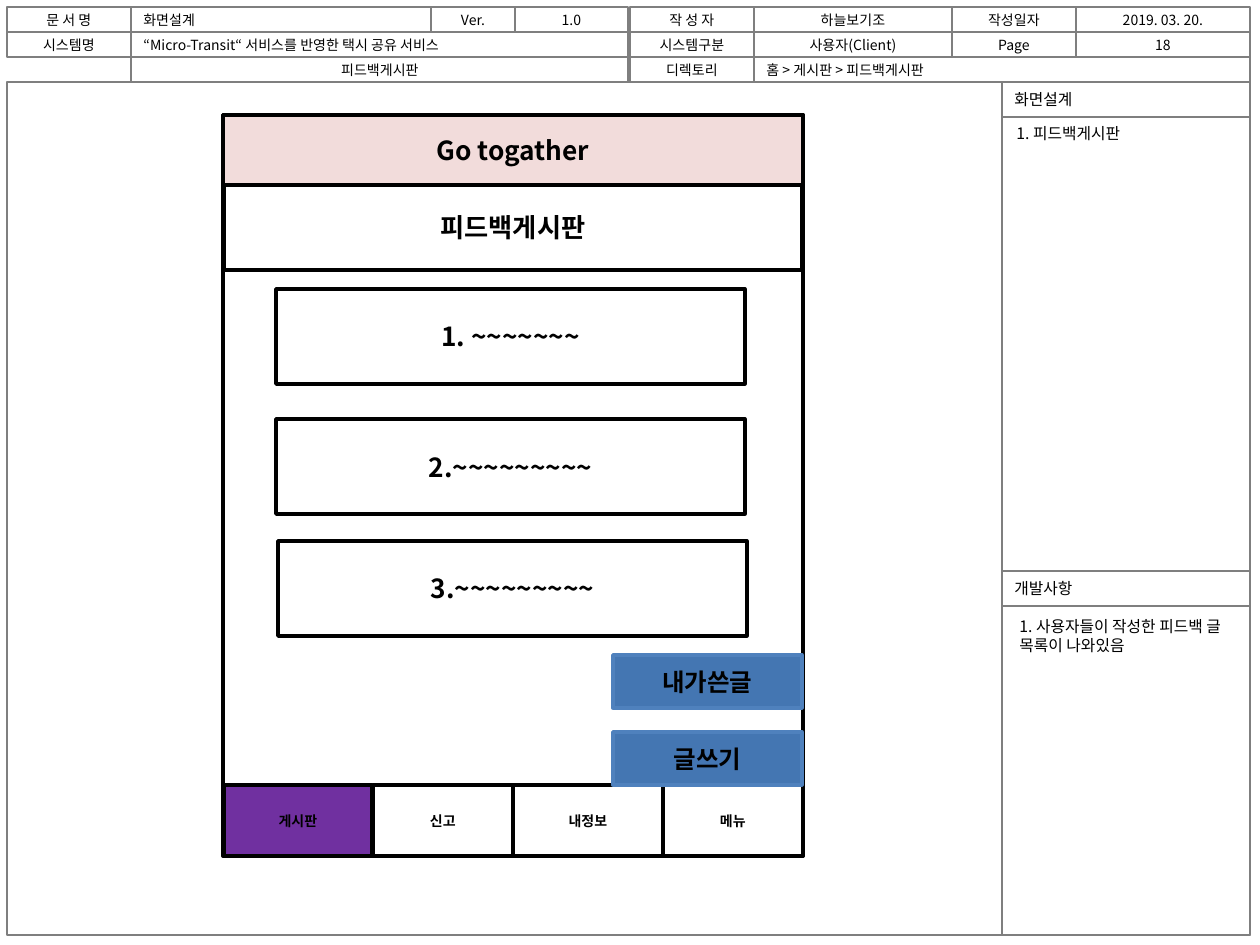
from pptx import Presentation
from pptx.dml.color import RGBColor
from pptx.enum.shapes import MSO_SHAPE
from pptx.enum.text import MSO_ANCHOR, PP_ALIGN
from pptx.oxml.ns import qn
from pptx.util import Emu, Pt
from lxml import etree

PX = 914400 / 126
FONT = "Noto Sans CJK KR"
RECT = MSO_SHAPE.RECTANGLE
TOP, MIDDLE = MSO_ANCHOR.TOP, MSO_ANCHOR.MIDDLE
LEFT, CENTER = PP_ALIGN.LEFT, PP_ALIGN.CENTER
HEX = {"black": "000000", "grey": "7F7F7F", "white": "FFFFFF", "pink": "F2DCDB",
       "purple": "7030A0", "blue": "4476B2", "edge": "4F81BD"}


def write(shape, text, size, align=CENTER, bold=False, anchor=MIDDLE):
    frame = shape.text_frame
    frame.text = text
    frame.word_wrap = True
    frame.vertical_anchor = anchor
    para = frame.paragraphs[0]
    para.alignment = align
    for run in para.runs:
        run.font.size = Pt(size)
        run.font.bold = bold
        run.font.name = FONT
        run.font.color.rgb = RGBColor.from_string(HEX["black"])
        # Hangul takes its face from the East Asian font
        east = etree.Element(qn("a:ea"), typeface=FONT)
        run.font._element.find(qn("a:latin")).addnext(east)


def box(x, y, w, h, fill=None, line="grey", width=0.75):
    shape = slide.shapes.add_shape(RECT, *[Emu(round(v * PX)) for v in (x, y, w, h)])
    shape.shadow.inherit = False
    if fill:
        shape.fill.solid()
        shape.fill.fore_color.rgb = RGBColor.from_string(HEX[fill])
    else:
        shape.fill.background()
    shape.line.color.rgb = RGBColor.from_string(HEX[line])
    shape.line.width = Pt(width)
    return shape


deck = Presentation()
deck.slide_width = Emu(round(1260 * PX))
deck.slide_height = Emu(round(945 * PX))
slide = deck.slides.add_slide(deck.slide_layouts[5])

# Header rows: (left, right, text, alignment)
header = [
    [(7, 131, "문 서 명", CENTER), (131, 431, "화면설계", LEFT),
     (431, 515, "Ver.", CENTER), (515, 628, "1.0", CENTER),
     (630, 754, "작 성 자", CENTER), (754, 952, "하늘보기조", CENTER),
     (952, 1076, "작성일자", CENTER), (1076, 1250, "2019. 03. 20.", CENTER)],
    [(7, 131, "시스템명", CENTER),
     (131, 628, "“Micro-Transit“ 서비스를 반영한 택시 공유 서비스", LEFT),
     (630, 754, "시스템구분", CENTER), (754, 952, "사용자(Client)", CENTER),
     (952, 1076, "Page", CENTER), (1076, 1250, "18", CENTER)],
    [(131, 628, "", CENTER), (630, 754, "디렉토리", CENTER),
     (754, 1250, "홈 > 게시판 > 피드백게시판", LEFT)],
]
for i, row in enumerate(header):
    for left, right, text, align in row:
        cell = box(left, 7 + 25 * i, right - left, 25)
        if text:
            write(cell, text, 8, align)

title = slide.shapes.title
title.left, title.top, title.width, title.height = [
    Emu(round(v * PX)) for v in (132, 55, 496, 30)]
write(title, "피드백게시판", 8)

# Body frame and side panels
box(7, 82, 1243, 853)
panels = [(82, 117, 571, "화면설계", "1. 피드백게시판", 1004, 118),
          (571, 606, 935, "개발사항", "1. 사용자들이 작성한 피드백 글 목록이 나와있음", 1007, 611)]
for top, split, end, head, note, x, y in panels:
    write(box(1002, top, 248, split - top), head, 9, LEFT)
    box(1002, split, 248, end - split)
    area = slide.shapes.add_textbox(*[Emu(round(v * PX)) for v in (x, y, 247, 50)])
    write(area, note, 9, LEFT, anchor=TOP)

# Phone screen
box(223, 115, 580, 741, "white", "black", 2)
write(box(223, 115, 580, 71, "pink", "black", 2), "Go togather", 15, bold=True)

tabs = [(224, 372, "게시판", "purple"), (373, 513, "신고", None),
        (513, 663, "내정보", "white"), (663, 803, "메뉴", None)]
for left, right, text, fill in tabs:
    write(box(left, 785, right - left, 71, fill, "black", 2), text, 8, bold=True)

for y, text in [(732, "글쓰기"), (655, "내가쓴글")]:
    write(box(613, y, 189, 53, "blue", "edge", 2), text, 14, bold=True)

posts = [(276, 289, "1. ~~~~~~~"), (276, 419, "2.~~~~~~~~~"), (278, 541, "3.~~~~~~~~~")]
for x, y, text in posts:
    write(box(x, y, 469, 95, "white", "black", 2), text, 15, bold=True)

write(box(224, 185, 578, 85, "white", "black", 2), "피드백게시판", 15, bold=True)

deck.save("out.pptx")
